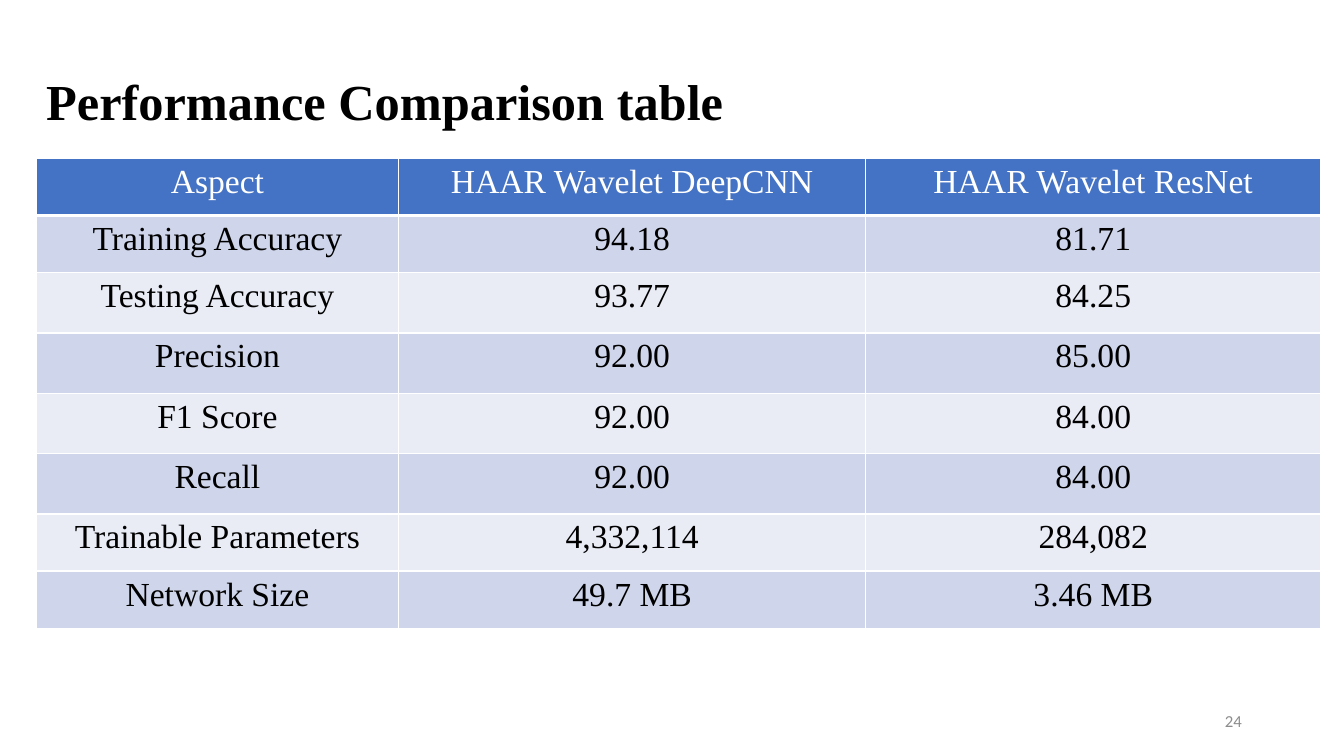
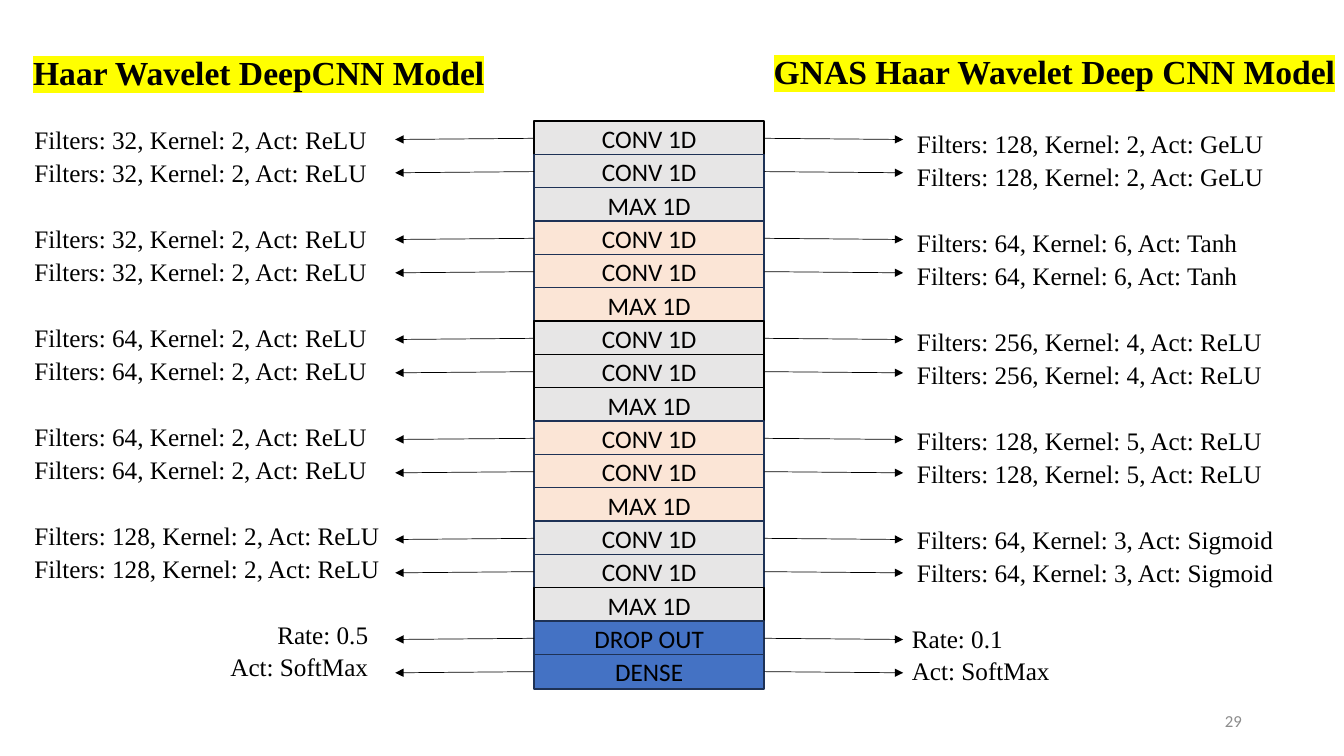
from lxml.etree import SubElement as Sub
from pptx import Presentation
from pptx.dml.color import RGBColor
from pptx.enum.shapes import MSO_CONNECTOR as Link, MSO_SHAPE as Shape
from pptx.enum.text import MSO_ANCHOR as Anchor, MSO_AUTO_SIZE as Auto, PP_ALIGN as Align
from pptx.oxml.ns import qn
from pptx.util import Cm, Pt

SERIF, SANS = "Times New Roman", "Calibri"
BLACK, WHITE, BLUE, NAVY = "000000", "FFFFFF", "4472C4", "1E3256"
GREY, PEACH, YELLOW, MUTED = "E7E6E6", "FBE5D6", "FFFF00", "8C8C8C"
BANDS = ["E9EBF5", "CFD5EA"]

SCORES = [
    ("Aspect", "HAAR Wavelet DeepCNN", "HAAR Wavelet ResNet"),
    ("Training Accuracy", "94.18", "81.71"),
    ("Testing Accuracy", "93.77", "84.25"),
    ("Precision", "92.00", "85.00"),
    ("F1 Score", "92.00", "84.00"),
    ("Recall", "92.00", "84.00"),
    ("Trainable Parameters", "4,332,114", "284,082"),
    ("Network Size", "49.7 MB", "3.46 MB"),
]
WIDTHS = [9.14, 11.76, 11.48]
HEIGHTS = [1.44, 1.44, 1.52, 1.52, 1.52, 1.52, 1.44, 1.44]

BLOCKS = [
    (GREY, [BLACK, NAVY, NAVY], "Filters: 32, Kernel: 2, Act: ReLU",
     "Filters: 128, Kernel: 2, Act: GeLU"),
    (PEACH, [NAVY, NAVY, NAVY], "Filters: 32, Kernel: 2, Act: ReLU",
     "Filters: 64, Kernel: 6, Act: Tanh"),
    (GREY, [BLACK, BLACK, BLACK], "Filters: 64, Kernel: 2, Act: ReLU",
     "Filters: 256, Kernel: 4, Act: ReLU"),
    (PEACH, [NAVY, NAVY, NAVY], "Filters: 64, Kernel: 2, Act: ReLU",
     "Filters: 128, Kernel: 5, Act: ReLU"),
    (GREY, [NAVY, NAVY, BLACK], "Filters: 128, Kernel: 2, Act: ReLU",
     "Filters: 64, Kernel: 3, Act: Sigmoid"),
]
ENDS = [
    ("DROP OUT", "Rate: 0.5", "Rate: 0.1"),
    ("DENSE", "Act: SoftMax", "Act: SoftMax"),
]
LEFT, RIGHT = 13.46, 19.26
TOP, PITCH, TALL = 3.05, 0.84, 0.87
STEP = 0.83


def rgb(code):
    return RGBColor.from_string(code)


def write(frame, text, size, face=SERIF, color=BLACK, bold=False,
          align=Align.LEFT, anchor=Anchor.TOP, mark=None):
    frame.word_wrap = True
    frame.vertical_anchor = anchor
    para = frame.paragraphs[0]
    para.alignment = align
    run = para.add_run()
    run.text = text
    font = para.font
    font.name, font.size, font.bold = face, Pt(size), bold
    font.color.rgb = rgb(color)
    if mark:
        light = Sub(run._r.get_or_add_rPr(), qn("a:highlight"))
        Sub(light, qn("a:srgbClr"), val=mark)


def label(slide, text, area, size, **style):
    box = slide.shapes.add_textbox(*map(Cm, area))
    write(box.text_frame, text, size, **style)


def start(deck, title, area, size, number, **style):
    slide = deck.slides.add_slide(deck.slide_layouts[5])
    head = slide.shapes.title
    head.left, head.top, head.width, head.height = map(Cm, area)
    head.text_frame.auto_size = Auto.NONE
    write(head.text_frame, title, size, bold=True, **style)
    label(slide, number, (23.93, 17.66, 7.62, 1.01), 12, face=SANS,
          color=MUTED, align=Align.RIGHT, anchor=Anchor.MIDDLE)
    return slide


def edge(cell, low):
    props = cell._tc.get_or_add_tcPr()
    for side, width in (("L", 1), ("R", 1), ("T", 1), ("B", low)):
        line = Sub(props, qn("a:ln" + side), w=str(Pt(width)))
        Sub(Sub(line, qn("a:solidFill")), qn("a:srgbClr"), val=WHITE)


def scores(slide):
    area = (0.91, 3.99, sum(WIDTHS), sum(HEIGHTS))
    table = slide.shapes.add_table(len(SCORES), len(WIDTHS), *map(Cm, area)).table
    for col, width in zip(table.columns, WIDTHS):
        col.width = Cm(width)
    for i, (row, tall) in enumerate(zip(SCORES, HEIGHTS)):
        table.rows[i].height = Cm(tall)
        for j, text in enumerate(row):
            cell = table.cell(i, j)
            edge(cell, 1 if i else 3)
            cell.fill.solid()
            cell.fill.fore_color.rgb = rgb(BANDS[i % 2] if i else BLUE)
            write(cell.text_frame, text, 24, color=BLACK if i else WHITE,
                  align=Align.CENTER)


def layer(slide, text, top, fill, line):
    area = (LEFT, top, RIGHT - LEFT, TALL)
    box = slide.shapes.add_shape(Shape.RECTANGLE, *map(Cm, area))
    box.shadow.inherit = False
    box.fill.solid()
    box.fill.fore_color.rgb = rgb(fill)
    box.line.color.rgb = rgb(line)
    box.line.width = Pt(1)
    write(box.text_frame, text, 18, face=SANS, align=Align.CENTER,
          anchor=Anchor.MIDDLE)


def arrow(slide, near, far, y):
    ends = map(Cm, (near, y, far, y + 0.03))
    line = slide.shapes.add_connector(Link.STRAIGHT, *ends)
    line.line.color.rgb = rgb(BLACK)
    line.line.width = Pt(0.5)
    props = line._element.spPr
    Sub(props.find(qn("a:ln")), qn("a:tailEnd"), type="triangle")
    Sub(props, qn("a:effectLst"))


def layers():
    for fill, lines, left, right in BLOCKS:
        for name, line in zip(("CONV 1D", "CONV 1D", "MAX 1D"), lines):
            notes = (left, right) if name == "CONV 1D" else None
            yield name, fill, line, notes, False
    for name, left, right in ENDS:
        yield name, BLUE, NAVY, (left, right), True


def model(slide):
    for i, (name, fill, line, notes, last) in enumerate(layers()):
        top = TOP + i * PITCH
        layer(slide, name, top, fill, line)
        if not notes:
            continue
        for near, far in ((LEFT, 9.96), (RIGHT, 22.76)):
            arrow(slide, near, far, top + TALL / 2)
        label(slide, notes[0], (0.62, 3.02 + i * STEP, 8.91 if last else 9.86, 1.02),
              18, align=Align.RIGHT if last else Align.LEFT)
        label(slide, notes[1], (22.73 if last else 22.86, 3.12 + i * STEP, 9.86, 1.02), 18)


def main():
    deck = Presentation()
    deck.slide_width, deck.slide_height = Cm(33.87), Cm(19.05)
    scores(start(deck, "Performance Comparison table", (0.91, 1.65, 18.42, 1.8), 36, "24"))
    slide = start(deck, "Haar Wavelet DeepCNN Model", (0.58, 1.19, 12.24, 1.27), 24,
                  "29", mark=YELLOW)
    label(slide, "GNAS Haar Wavelet Deep CNN Model", (19.25, 1.17, 14.76, 1.27), 24,
          bold=True, mark=YELLOW)
    model(slide)
    deck.save("out.pptx")


if __name__ == "__main__":
    main()
